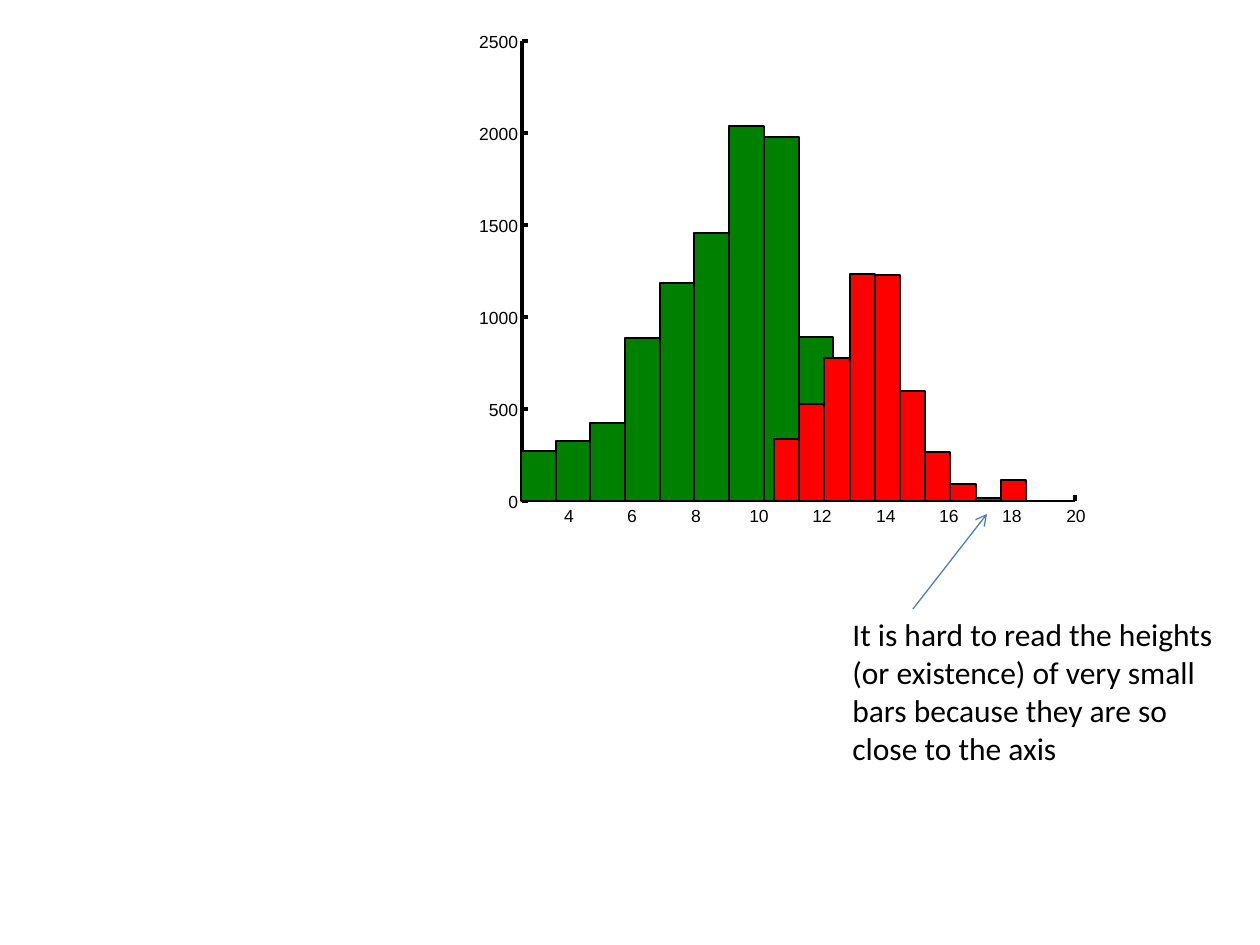
from lxml import etree
from pptx import Presentation
from pptx.dml.color import RGBColor
from pptx.enum.shapes import MSO_CONNECTOR, MSO_SHAPE
from pptx.enum.text import PP_ALIGN
from pptx.oxml.ns import qn
from pptx.util import Inches, Pt

STRAIGHT = MSO_CONNECTOR.STRAIGHT
RECTANGLE = MSO_SHAPE.RECTANGLE
LEFT, CENTER, RIGHT = PP_ALIGN.LEFT, PP_ALIGN.CENTER, PP_ALIGN.RIGHT
SCALE = Inches(10) / 1260
BLACK, GREEN, RED, BLUE = "000000", "008000", "FF0000", "4B7EBC"
AXIS_LEFT, AXIS_RIGHT, BASELINE = 522, 1075, 501
FIRST_TICK_X, UNIT_X = 568, 31.67
UNIT_Y = 92 / 500
TICK = 6
GREEN_COUNTS = [272, 328, 424, 885, 1185, 1457, 2040, 1980, 892]
RED_COUNTS = [338, 527, 778, 1234, 1230, 600, 266, 92, 15, 115]
NOTE = ("It is hard to read the heights (or existence) of very small "
        "bars because they are so close to the axis")


def px(value):
    """Turn pixels into EMU."""
    return round(value * SCALE)


def color(value):
    """Turn a hex string into a colour."""
    return RGBColor.from_string(value)


def value_y(value):
    """Return the vertical position of a count."""
    return round(BASELINE - value * UNIT_Y)


def add_line(slide, start, end, line_color=BLACK, width=0, arrow=False):
    """Add a straight line, with an optional arrowhead at its end."""
    line = slide.shapes.add_connector(STRAIGHT, *map(px, start + end))
    line.line.color.rgb = color(line_color)
    line.line.width = Pt(width)
    properties = line._element.spPr
    if arrow:
        etree.SubElement(properties.find(qn("a:ln")), qn("a:tailEnd"), type="arrow")
    etree.SubElement(properties, qn("a:effectLst"))


def add_text(slide, box, text, size, font, align=LEFT, margins=None):
    """Add a wrapped text box holding one run."""
    frame = slide.shapes.add_textbox(*map(px, box)).text_frame
    frame.word_wrap = True
    if margins is not None:
        frame.margin_left = frame.margin_right = px(margins)
        frame.margin_top = frame.margin_bottom = px(margins)
    paragraph = frame.paragraphs[0]
    paragraph.alignment = align
    run = paragraph.add_run()
    run.text = text
    run.font.size = Pt(size)
    run.font.name = font
    run.font.color.rgb = color(BLACK)


def add_label(slide, box, value, align):
    """Add the number of an axis tick."""
    add_text(slide, box, str(value), 10, "Arial", align, 0)


def add_bars(slide, left, bin_width, counts, fill):
    """Add a histogram of adjoining bars."""
    for index, count in enumerate(counts):
        start = round(left + index * bin_width)
        end = round(left + (index + 1) * bin_width)
        top = value_y(count)
        box = (start, top, end - start, BASELINE - top)
        bar = slide.shapes.add_shape(RECTANGLE, *map(px, box))
        bar.shadow.inherit = False
        bar.fill.solid()
        bar.fill.fore_color.rgb = color(fill)
        bar.line.color.rgb = color(BLACK)
        bar.line.width = 0


def add_axes(slide):
    """Add the vertical axis and the ticks and numbers of both axes."""
    for value in range(4, 21, 2):
        x = round(FIRST_TICK_X + (value - 4) * UNIT_X)
        add_line(slide, (x, BASELINE), (x, BASELINE - TICK))
        add_label(slide, (x - 19, 505, 40, 24), value, CENTER)
    for value in range(0, 2501, 500):
        y = value_y(value)
        add_line(slide, (AXIS_LEFT, y), (AXIS_LEFT + TICK, y))
        add_label(slide, (468, y - 10, 50, 24), value, RIGHT)
    add_line(slide, (AXIS_LEFT, BASELINE), (AXIS_LEFT, value_y(2500)))


def main():
    """Build the slide and save it."""
    presentation = Presentation()
    presentation.slide_width = Inches(10)
    presentation.slide_height = Inches(7.5)
    slide = presentation.slides.add_slide(presentation.slide_layouts[6])
    add_axes(slide)
    add_bars(slide, 521, 34.7, GREEN_COUNTS, GREEN)
    add_bars(slide, 774, 25.2, RED_COUNTS, RED)
    add_line(slide, (913, 609), (987, 514), BLUE, 0.75, arrow=True)
    add_text(slide, (840, 609, 410, 165), NOTE, 18, "Calibri")
    add_line(slide, (AXIS_LEFT, BASELINE), (AXIS_RIGHT, BASELINE), width=1)
    presentation.save("out.pptx")


if __name__ == "__main__":
    main()
